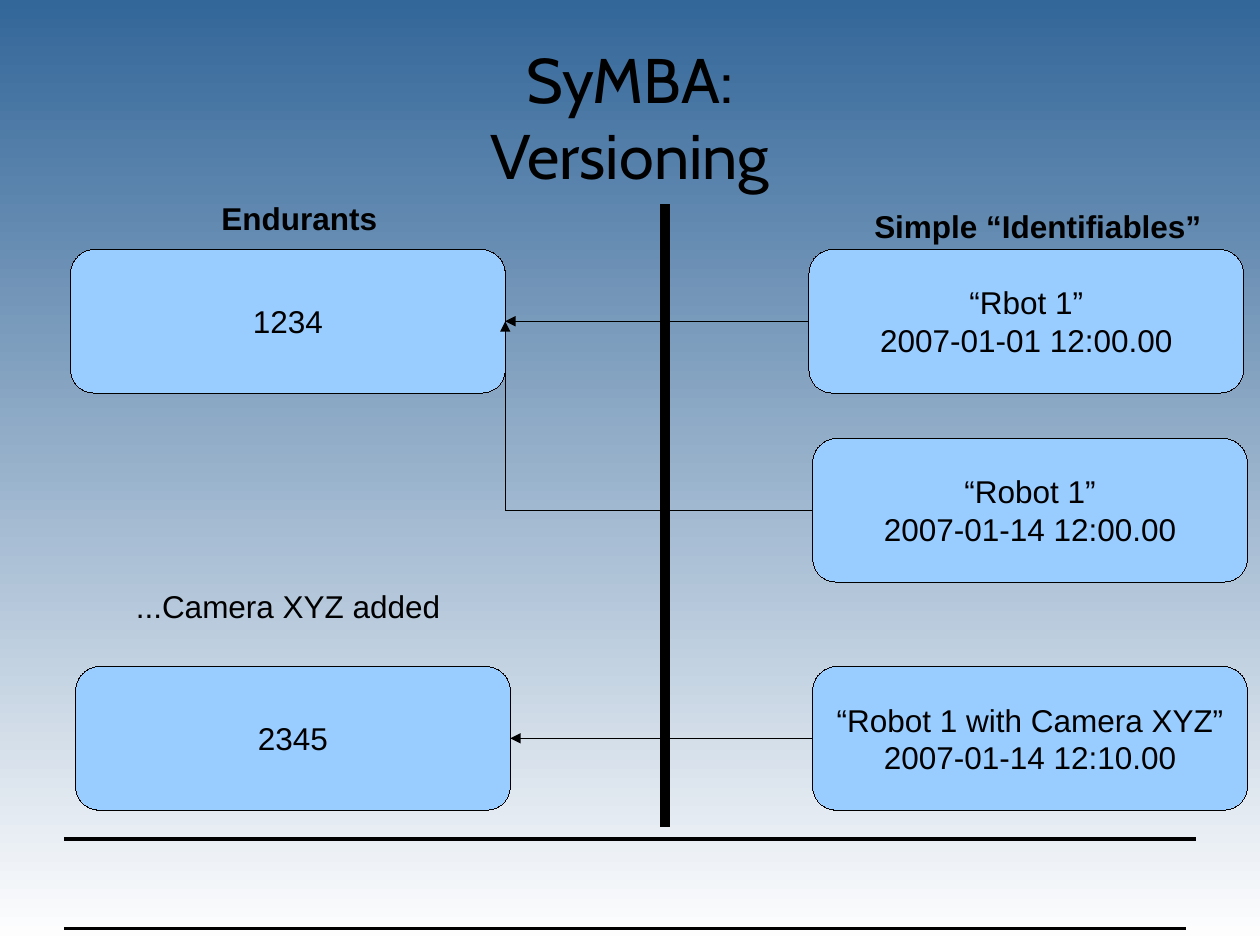
from dataclasses import dataclass

from lxml.etree import SubElement
from pptx import Presentation
from pptx.dml.color import RGBColor
from pptx.enum.shapes import MSO_CONNECTOR, MSO_SHAPE
from pptx.enum.text import MSO_ANCHOR, MSO_AUTO_SIZE, PP_ALIGN
from pptx.oxml.ns import qn
from pptx.util import Inches, Pt


@dataclass(frozen=True)
class Theme:
    ink: RGBColor = RGBColor(0x00, 0x00, 0x00)
    box: RGBColor = RGBColor(0x99, 0xCC, 0xFF)
    sky: RGBColor = RGBColor(0x33, 0x66, 0x99)
    ground: RGBColor = RGBColor(0xFF, 0xFF, 0xFF)
    title_font: str = "Cabin"
    body_font: str = "Arial"
    title_size: int = 36
    body_size: int = 18
    hairline: float = 0.01


THEME = Theme()
BOX_WIDTH, BOX_HEIGHT = 3.45, 1.14
LEFT, RIGHT = 1, 3


def apply_format(target, values):
    for name, value in values.items():
        setattr(target, name, value)


def format_text(paragraph, name, size, bold=False):
    apply_format(paragraph.font, {"name": name, "size": Pt(size), "bold": bold})
    paragraph.font.color.rgb = THEME.ink


def paint_background(slide):
    fill = slide.background.fill
    fill.gradient()
    fill.gradient_angle = 270
    for stop, color, position in zip(
        fill.gradient_stops, (THEME.sky, THEME.ground), (0, 1)
    ):
        stop.color.rgb = color
        stop.position = position


def set_title(slide, text):
    title = slide.shapes.title
    apply_format(title, {
        "left": Inches(0.5), "top": Inches(0.3),
        "width": Inches(9), "height": Inches(1.25),
    })
    frame = title.text_frame
    frame.text = text
    apply_format(frame, {
        "margin_left": 0, "margin_right": 0, "margin_top": 0, "margin_bottom": 0,
        "vertical_anchor": MSO_ANCHOR.MIDDLE, "word_wrap": True,
        "auto_size": MSO_AUTO_SIZE.NONE,
    })
    paragraph = frame.paragraphs[0]
    paragraph.alignment = PP_ALIGN.CENTER
    format_text(paragraph, THEME.title_font, THEME.title_size)


def add_box(slide, left, top, text):
    box = slide.shapes.add_shape(
        MSO_SHAPE.ROUNDED_RECTANGLE,
        Inches(left), Inches(top), Inches(BOX_WIDTH), Inches(BOX_HEIGHT),
    )
    box.shadow.inherit = False
    box.fill.solid()
    box.fill.fore_color.rgb = THEME.box
    box.line.color.rgb = THEME.ink
    box.line.width = Pt(THEME.hairline)
    frame = box.text_frame
    frame.text = text
    apply_format(frame, {"vertical_anchor": MSO_ANCHOR.MIDDLE, "word_wrap": True})
    for paragraph in frame.paragraphs:
        paragraph.alignment = PP_ALIGN.CENTER
        format_text(paragraph, THEME.body_font, THEME.body_size)
    return box


def add_label(slide, left, top, width, text, bold=False):
    label = slide.shapes.add_textbox(
        Inches(left), Inches(top), Inches(width), Inches(0.39)
    )
    frame = label.text_frame
    frame.text = text
    apply_format(frame, {"word_wrap": True, "auto_size": MSO_AUTO_SIZE.NONE})
    format_text(frame.paragraphs[0], THEME.body_font, THEME.body_size, bold)


def add_line(slide, start, end, width, kind=MSO_CONNECTOR.STRAIGHT):
    line = slide.shapes.add_connector(kind, *start, *end)
    line.line.color.rgb = THEME.ink
    line.line.width = Pt(width)
    SubElement(line._element.spPr, qn("a:effectLst"))
    return line


def add_rule(slide, start, end, width):
    add_line(slide, map(Inches, start), map(Inches, end), width)


def add_arrowhead(line):
    SubElement(line.line._get_or_add_ln(), qn("a:tailEnd"), type="triangle")


def left_middle(box):
    return box.left, box.top + box.height // 2


def right_middle(box):
    return box.left + box.width, box.top + box.height // 2


def add_straight_arrow(slide, source, target):
    arrow = add_line(slide, left_middle(source), right_middle(target), THEME.hairline)
    arrow.begin_connect(source, LEFT)
    arrow.end_connect(target, RIGHT)
    add_arrowhead(arrow)


def add_corner_arrow(slide, source, target):
    arrow = add_line(
        slide, left_middle(source), right_middle(target),
        THEME.hairline, MSO_CONNECTOR.ELBOW,
    )
    properties = arrow._element.spPr
    properties.find(qn("a:prstGeom")).set("prst", "bentConnector2")
    transform = properties.find(qn("a:xfrm"))
    for flip in ("flipH", "flipV"):
        transform.attrib.pop(flip, None)
    transform.set("rot", str(180 * 60000))
    add_arrowhead(arrow)


def main():
    presentation = Presentation()
    presentation.slide_width = Inches(10)
    presentation.slide_height = Inches(7.5)
    slide = presentation.slides.add_slide(presentation.slide_layouts[5])

    paint_background(slide)
    add_rule(slide, (0.51, 6.66), (9.49, 6.66), 2)
    add_rule(slide, (0.51, 7.37), (9.41, 7.37), 2)
    set_title(slide, "SyMBA:\vVersioning")

    first_endurant = add_box(slide, 0.56, 1.98, "1234")
    second_endurant = add_box(slide, 0.6, 5.29, "2345")
    first_version = add_box(slide, 6.42, 1.98, "“Rbot 1”\n2007-01-01 12:00.00")
    second_version = add_box(slide, 6.45, 3.48, "“Robot 1”\n2007-01-14 12:00.00")
    camera_version = add_box(
        slide, 6.45, 5.29, "“Robot 1 with Camera XYZ”\n2007-01-14 12:10.00"
    )

    add_rule(slide, (5.28, 1.62), (5.28, 6.56), 5.67)
    add_label(slide, 1.66, 1.53, 1.5, "Endurants", bold=True)
    add_label(slide, 6.84, 1.59, 2.85, "Simple “Identifiables”", bold=True)
    add_label(slide, 0.98, 4.61, 2.7, "...Camera XYZ added")

    add_straight_arrow(slide, first_version, first_endurant)
    add_corner_arrow(slide, second_version, first_endurant)
    add_straight_arrow(slide, camera_version, second_endurant)

    presentation.save("out.pptx")


if __name__ == "__main__":
    main()
